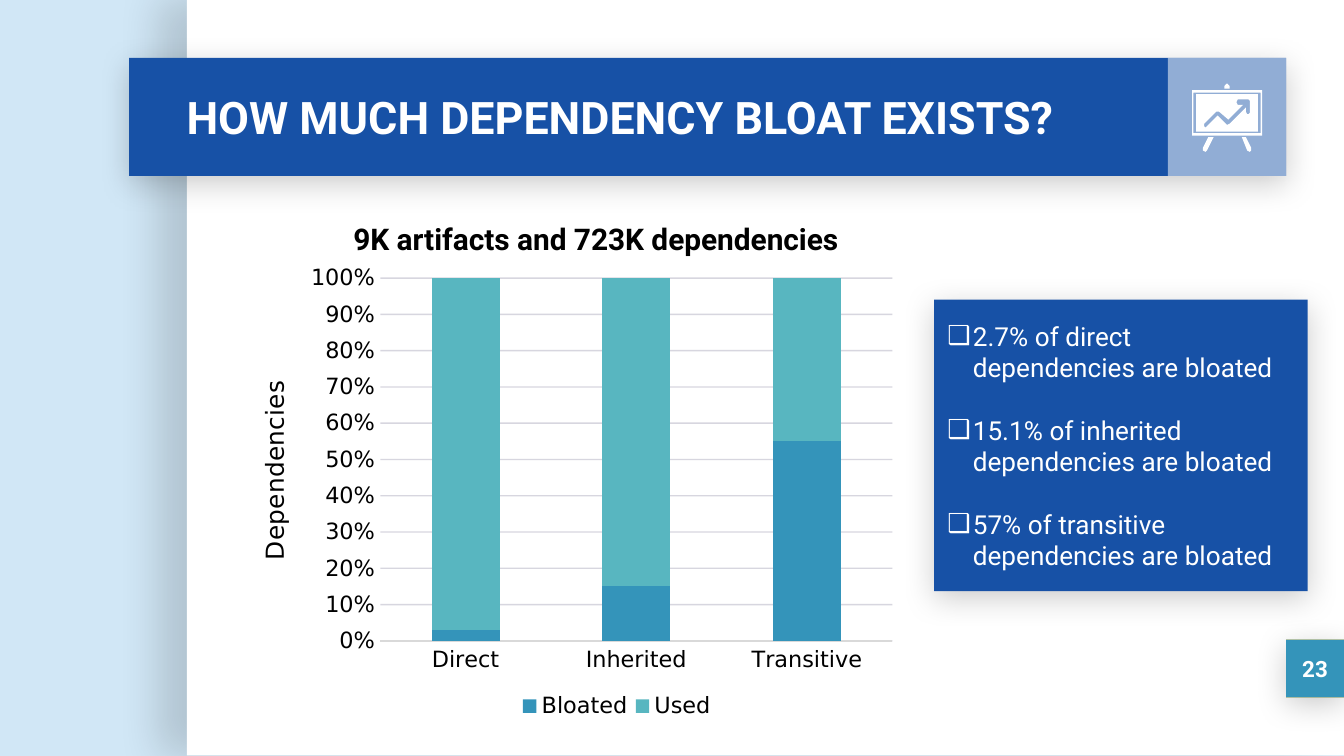
from lxml import etree
from pptx import Presentation
from pptx import util as u
from pptx.chart import data as chart_data
from pptx.dml.color import RGBColor
from pptx.enum import chart as charts, shapes, text
from pptx.oxml import parse_xml
from pptx.oxml.ns import nsdecls, qn

WHITE = RGBColor(0xFF, 0xFF, 0xFF)
BLACK = RGBColor(0, 0, 0)
PALE_BLUE = RGBColor(0xD1, 0xE7, 0xF6)
DEEP_BLUE = RGBColor(0x17, 0x51, 0xA6)
BLUE = RGBColor(0x34, 0x94, 0xBA)
TEAL = RGBColor(0x58, 0xB6, 0xC0)
AMBER = RGBColor(0xFF, 0xB0, 0x00)
GRID = RGBColor(0x7F, 0x7B, 0x9A)
AXIS = RGBColor(0xD9, 0xD9, 0xD9)

# Content
TITLE = "HOW MUCH DEPENDENCY BLOAT EXISTS?"
SUBTITLE = "9K artifacts and 723K dependencies"
PAGE_NUMBER = "23"
FINDINGS = [
    "2.7% of direct dependencies are bloated",
    "15.1% of inherited dependencies are bloated",
    "57% of transitive dependencies are bloated",
]
CATEGORIES = ["Direct", "Inherited", "Transitive"]
SERIES = [("Bloated", (3, 15, 55), BLUE), ("Used", (97, 85, 45), TEAL)]
CHART_PLACE = (1.7, 1.91, 5.04, 3.53)

# Shadows: opacity %, blur pt, distance pt, direction in degrees
SIDE_SHADOW = (15, 22.5, 15, 180)
DROP_SHADOW = (20, 16.9, 3.8, 90)


# Easel icon: each part is a list of contours, inner contours are holes
def box(left, top, right, bottom):
    return [(left, top), (right, top), (right, bottom), (left, bottom)]


TREND_ARROW = [
    (9.21, 0.74), (9.29, 0.74), (9.3, 0.75), (9.3, 0.84), (9.29, 0.85), (9.28, 0.85),
    (9.27, 0.83), (9.27, 0.8), (9.15, 0.92), (9.13, 0.93), (9.06, 0.86), (8.98, 0.94),
    (8.97, 0.95), (8.96, 0.94), (8.96, 0.92), (9.05, 0.83), (9.07, 0.83), (9.14, 0.89),
    (9.25, 0.78), (9.21, 0.78), (9.2, 0.76),
]
ICON = [
    [box(8.87, 0.67, 9.39, 1.01), box(8.88, 0.69, 9.38, 0.99)],
    [[(9.12, 0.63), (9.13, 0.62), (9.14, 0.63), (9.15, 0.64), (9.15, 0.66),
      (9.11, 0.66), (9.11, 0.64)]],
    [[(8.99, 1.02), (8.95, 1.1), (8.95, 1.12), (8.97, 1.13), (8.98, 1.12), (9.03, 1.02)]],
    [[(9.24, 1.02), (9.28, 1.12), (9.3, 1.13), (9.31, 1.12), (9.31, 1.1), (9.27, 1.02)]],
    [box(8.9, 0.7, 9.36, 0.98), TREND_ARROW],
]

presentation = Presentation()
presentation.slide_width = u.Inches(10)
presentation.slide_height = u.Inches(10 * 9 / 16)
slide = presentation.slides.add_slide(presentation.slide_layouts[6])
slide.background.fill.solid()
slide.background.fill.fore_color.rgb = PALE_BLUE


def set_alpha(fill, percent):
    color = fill._xPr.find(".//" + qn("a:srgbClr"))
    etree.SubElement(color, qn("a:alpha")).set("val", str(percent * 1000))


def add_panel(place, color, shadow=None):
    shape = slide.shapes.add_shape(shapes.MSO_SHAPE.RECTANGLE, *map(u.Inches, place))
    shape.fill.solid()
    shape.fill.fore_color.rgb = color
    shape.line.fill.background()
    shape.shadow.inherit = False
    if shadow:
        opacity, blur, distance, direction = shadow
        effects = shape._element.spPr.find(qn("a:effectLst"))
        effects.append(parse_xml(
            f'<a:outerShdw {nsdecls("a")} blurRad="{u.Pt(blur)}" dist="{u.Pt(distance)}" '
            f'dir="{direction * 60000}" algn="bl" rotWithShape="0"><a:srgbClr val="000000">'
            f'<a:alpha val="{opacity * 1000}"/></a:srgbClr></a:outerShdw>'))
    return shape


def format_font(font, size, color=BLACK, name="DejaVu Sans", bold=False):
    font.size, font.name, font.bold = u.Pt(size), name, bold
    font.color.rgb = color


def write(shape, lines, size, color=WHITE, bold=False, align=text.PP_ALIGN.LEFT,
          anchor=text.MSO_ANCHOR.MIDDLE, inset=0.1, spacing=None, bullet=None, gap=0):
    frame = shape.text_frame
    frame.word_wrap, frame.vertical_anchor = True, anchor
    frame.margin_left = frame.margin_right = u.Inches(0.1)
    frame.margin_top = frame.margin_bottom = u.Inches(inset)
    for index, line in enumerate(lines):
        paragraph = frame.add_paragraph() if index else frame.paragraphs[0]
        paragraph.alignment = align
        if bullet:
            properties = paragraph._p.get_or_add_pPr()
            properties.set("marL", str(u.Inches(0.19)))
            properties.set("indent", str(u.Inches(-0.19)))
            bullet_color = etree.SubElement(properties, qn("a:buClr"))
            etree.SubElement(bullet_color, qn("a:srgbClr")).set("val", str(color))
            etree.SubElement(properties, qn("a:buFont")).set("typeface", "Roboto")
            etree.SubElement(properties, qn("a:buChar")).set("char", bullet)
        if spacing:
            paragraph.line_spacing = spacing
        if index and gap:
            paragraph.space_before = u.Pt(gap)
        run = paragraph.add_run()
        run.text = line
        format_font(run.font, size, color, "Roboto", bold)


def add_text_box(place):
    return slide.shapes.add_textbox(*map(u.Inches, place))


def set_layout(parent, left, top, width=None, height=None, inner=False):
    """Place a chart part, given in slide inches, within the chart area."""
    chart_left, chart_top, chart_width, chart_height = CHART_PLACE
    parts = {"layoutTarget": "inner"} if inner else {}
    parts.update(xMode="edge", yMode="edge", x=(left - chart_left) / chart_width,
                 y=(top - chart_top) / chart_height)
    if width:
        parts.update(w=width / chart_width, h=height / chart_height)
    for old in parent.findall(qn("c:layout")):
        parent.remove(old)
    values = "".join(f'<c:{tag} val="{value}"/>' for tag, value in parts.items())
    layout = parse_xml(f'<c:layout {nsdecls("c")}><c:manualLayout>{values}'
                       '</c:manualLayout></c:layout>')
    leading = [child for child in parent if child.tag in (qn("c:tx"), qn("c:legendPos"))]
    parent.insert(len(leading), layout)


# Page, header band and page number
add_panel((1.39, 0, 8.61, 5.62), WHITE, SIDE_SHADOW)
add_panel((9.57, 4.76, 0.43, 0.43), AMBER, DROP_SHADOW)
add_panel((0.96, 0.43, 8.61, 0.88), DEEP_BLUE, DROP_SHADOW)
icon_tile = add_panel((8.69, 0.43, 0.88, 0.88), WHITE)
set_alpha(icon_tile.fill, 53)
write(add_text_box((1.29, 0.43, 7.37, 0.88)), [TITLE], 24, bold=True)
number_tile = add_panel((9.57, 4.76, 0.43, 0.43), BLUE)
write(number_tile, [PAGE_NUMBER], 12, bold=True, align=text.PP_ALIGN.CENTER)

# Stacked column chart
table = chart_data.CategoryChartData()
table.categories = CATEGORIES
for name, values, _ in SERIES:
    table.add_series(name, values)
chart = slide.shapes.add_chart(charts.XL_CHART_TYPE.COLUMN_STACKED_100,
                               *map(u.Inches, CHART_PLACE), table).chart
format_font(chart.font, 10, name="DejaVu Sans Mono")
chart.has_title = False
chart.has_legend = True
chart.legend.position = charts.XL_LEGEND_POSITION.BOTTOM
chart.legend.include_in_layout = False
format_font(chart.legend.font, 12)
set_layout(chart.legend._element, 3.83, 5.13, 1.52, 0.25)

plot = chart.plots[0]
plot.gap_width, plot.overlap, plot.vary_by_categories = 150, 100, False
for series, (_, _, color) in zip(plot.series, SERIES):
    series.format.fill.solid()
    series.format.fill.fore_color.rgb = color

for axis in (chart.category_axis, chart.value_axis):
    axis.major_tick_mark = axis.minor_tick_mark = charts.XL_TICK_MARK.NONE
    format_font(axis.tick_labels.font, 12)
chart.category_axis.format.line.color.rgb = AXIS
chart.category_axis.format.line.width = u.Pt(0.75)
value_axis = chart.value_axis
value_axis.format.line.fill.background()
value_axis.tick_labels.number_format = "0%"
value_axis.tick_labels.number_format_is_linked = False
grid_line = value_axis.major_gridlines.format.line
grid_line.color.rgb = GRID
grid_line.width = u.Pt(0.75)
set_alpha(grid_line.fill, 31)
axis_title = value_axis.axis_title
axis_title.text_frame.text = "Dependencies"
format_font(axis_title.text_frame.paragraphs[0].runs[0].font, 13.3)
set_layout(axis_title._element, 1.88, 2.8)
set_layout(chart._chartSpace.chart.plotArea, 2.83, 2.07, 3.81, 2.7, inner=True)

# Chart heading and findings
write(add_text_box((2.45, 1.46, 3.97, 0.45)), [SUBTITLE], 16, color=BLACK, bold=True,
      align=text.PP_ALIGN.CENTER, anchor=text.MSO_ANCHOR.TOP, inset=0.05, spacing=1.5)
findings_panel = add_panel((6.95, 2.23, 2.78, 2.17), DEEP_BLUE, DROP_SHADOW)
write(findings_panel, FINDINGS, 14, bullet="❑", gap=16.8)

# Easel icon
icon = slide.shapes.add_group_shape()
for contours in ICON:
    builder = None
    for contour in contours:
        points = [(u.Inches(x), u.Inches(y)) for x, y in contour]
        if builder is None:
            builder = icon.shapes.build_freeform(*points[0])
        else:
            builder.move_to(*points[0])
        builder.add_line_segments(points[1:], close=True)
    part = builder.convert_to_shape()
    part.fill.solid()
    part.fill.fore_color.rgb = WHITE
    part.line.fill.background()
    part.shadow.inherit = False

presentation.save("out.pptx")
